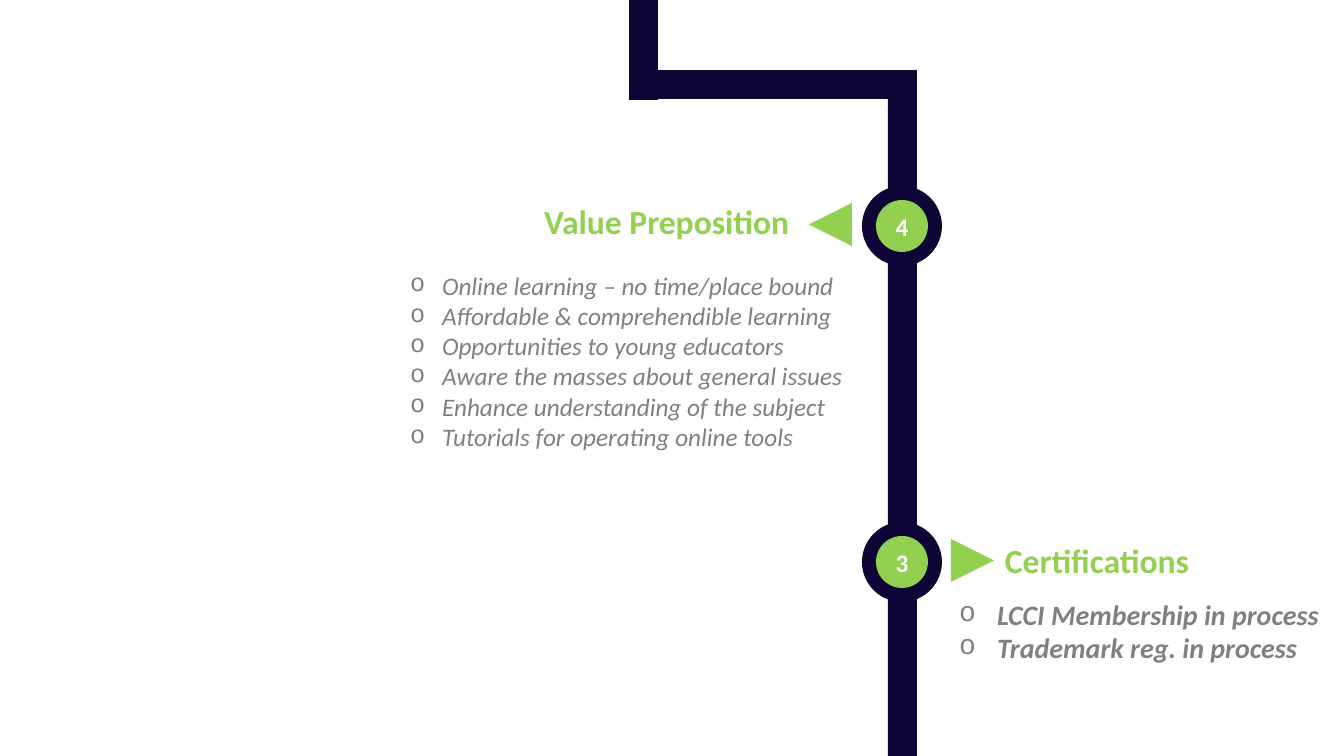
from lxml import etree
from pptx import Presentation
from pptx.dml.color import RGBColor
from pptx.enum.shapes import MSO_SHAPE
from pptx.enum.text import MSO_ANCHOR, MSO_AUTO_SIZE, PP_ALIGN
from pptx.oxml.ns import qn
from pptx.util import Emu, Pt

RECT, OVAL = MSO_SHAPE.RECTANGLE, MSO_SHAPE.OVAL
ARROW = MSO_SHAPE.ISOSCELES_TRIANGLE
TOP, MIDDLE = MSO_ANCHOR.TOP, MSO_ANCHOR.MIDDLE
LEFT, CENTER = PP_ALIGN.LEFT, PP_ALIGN.CENTER
GROW = MSO_AUTO_SIZE.SHAPE_TO_FIT_TEXT

NAVY = RGBColor(0x0C, 0x05, 0x35)
GREEN = RGBColor(0x92, 0xD0, 0x50)
GRAY = RGBColor(0x80, 0x80, 0x80)
WHITE = RGBColor(0xFF, 0xFF, 0xFF)

SCALE = 914400 / 100.8
HEAD = {"size": Pt(24), "bold": True, "italic": False}
BADGE = {"size": Pt(18), "bold": True, "italic": False}
PLAIN = {"size": Pt(18), "bold": False, "italic": True}
STRONG = {"size": Pt(20), "bold": True, "italic": True}


def px(num):
    return Emu(round(num * SCALE))


class Board:
    face = "Calibri"

    def __init__(self, slide):
        self.slide = slide

    def place(self, shape, box):
        for name, num in zip(("left", "top", "width", "height"), box):
            setattr(shape, name, px(num))

    def style(self, para, form, color, align=LEFT):
        para.alignment = align
        para.space_before = Pt(0)
        for name, value in {"name": self.face, **form}.items():
            setattr(para.font, name, value)
        para.font.color.rgb = color

    def shape(self, kind, box, color, turn=0, home=None):
        home = home or self.slide.shapes
        item = home.add_shape(kind, *map(px, box))
        item.rotation = turn
        item.shadow.inherit = False
        item.fill.solid()
        item.fill.fore_color.rgb = color
        item.line.fill.background()
        return item

    def node(self, label, x, y):
        group = self.slide.shapes.add_group_shape().shapes
        for size, color in ((80, NAVY), (52, GREEN)):
            box = (x - size // 2, y - size // 2, size, size)
            disc = self.shape(OVAL, box, color, home=group)
        frame = disc.text_frame
        frame.text = label
        frame.vertical_anchor = MIDDLE
        self.style(frame.paragraphs[0], BADGE, WHITE, CENTER)

    def text(self, item, box, lines, wrap=False):
        self.place(item, box)
        frame = item.text_frame
        frame.text = "\n".join(lines)
        frame.word_wrap = wrap
        frame.auto_size = GROW
        frame.vertical_anchor = TOP
        return frame.paragraphs

    def head(self, item, box, words):
        self.style(self.text(item, box, [words])[0], HEAD, GREEN)

    def list(self, item, box, lines, form, indent, wrap=False):
        for para in self.text(item, box, lines, wrap):
            props = para._p.get_or_add_pPr()
            props.set("marL", str(px(indent)))
            props.set("indent", str(-px(indent)))
            etree.SubElement(props, qn("a:buFont")).set("typeface", "Courier New")
            etree.SubElement(props, qn("a:buChar")).set("char", "o")
            self.style(para, form, GRAY)


def main():
    deck = Presentation()
    deck.slide_width, deck.slide_height = px(1344), px(756)
    slide = deck.slides.add_slide(deck.slide_layouts[3])
    board = Board(slide)
    title, values, proofs = list(slide.placeholders)[:3]

    for bar in ((888, 73, 29, 683), (644, 70, 273, 29), (629, 0, 29, 100)):
        board.shape(RECT, bar, NAVY)
    for label, y, left, turn in (("4", 226, 809, 270), ("3", 562, 951, 90)):
        board.node(label, 902, y)
        board.shape(ARROW, (left, y - 23, 43, 43), GREEN, turn)

    board.head(title, (534, 196, 268, 50), "Value Preposition")
    badge = slide.shapes.add_textbox(0, 0, 0, 0)
    board.head(badge, (995, 535, 208, 50), "Certifications")

    board.list(values, (400, 265, 551, 194), [
        "Online learning – no time/place bound",
        "Affordable & comprehendible learning",
        "Opportunities to young educators",
        "Aware the masses about general issues",
        "Enhance understanding of the subject",
        "Tutorials for operating online tools",
    ], PLAIN, 32, True)
    board.list(proofs, (949, 592, 383, 78), [
        "LCCI Membership in process",
        "Trademark reg. in process",
    ], STRONG, 38)
    deck.save("out.pptx")


if __name__ == "__main__":
    main()
